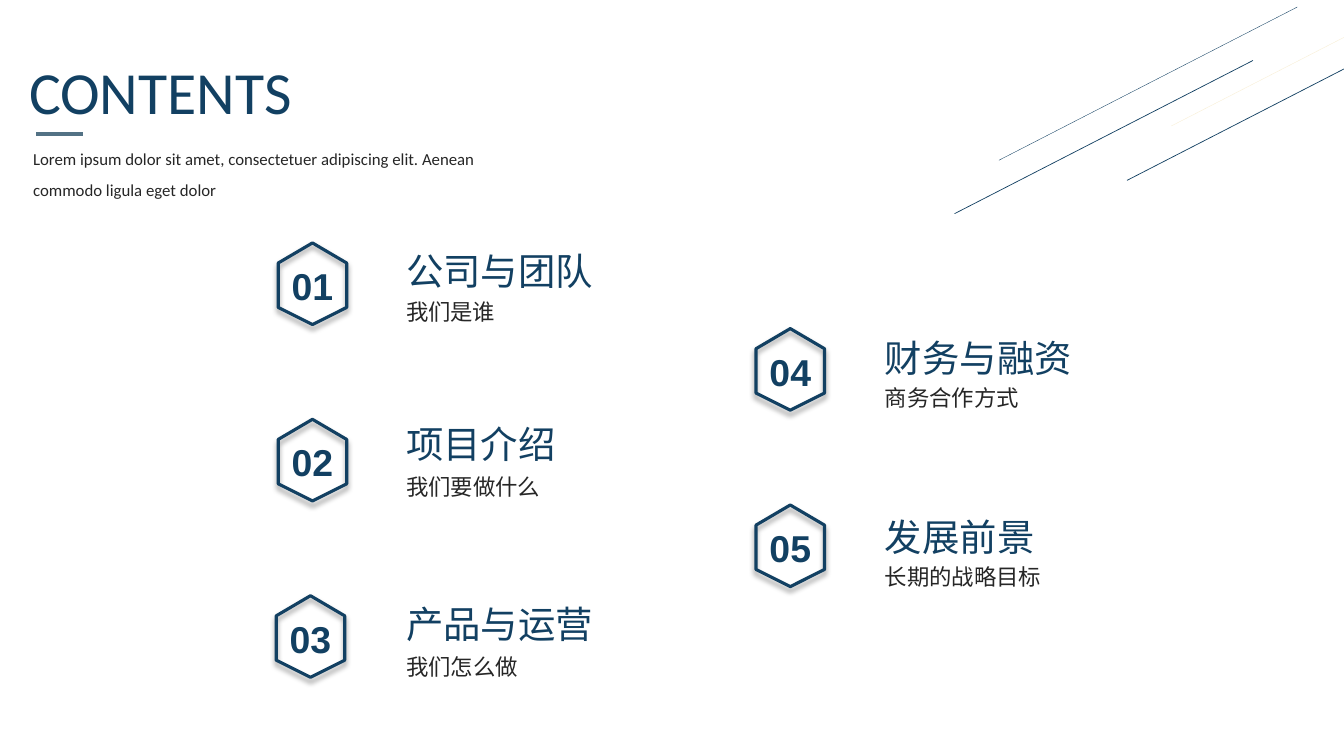
from dataclasses import dataclass
from typing import Any

from lxml.etree import SubElement
from pptx import Presentation
from pptx.dml.color import RGBColor
from pptx.enum.shapes import MSO_CONNECTOR as Connector
from pptx.enum.text import MSO_AUTO_SIZE as AutoSize, PP_ALIGN as Align
from pptx.oxml.ns import qn
from pptx.util import Emu, Inches, Pt

NAVY = RGBColor(0x12, 0x40, 0x62)
SLATE = RGBColor(0x53, 0x72, 0x85)
INK = RGBColor(0x26, 0x26, 0x26)
GOLD = RGBColor(0xDC, 0xAA, 0x1F)

# The grid: square cells, ten to the inch
CELL = Inches(0.1)
SLIDE_COLS, SLIDE_ROWS = 133.33, 75

CJK = "Noto Sans CJK SC"
HEADING = {"name": "Calibri", "size": Pt(42.7)}
INTRO = {"name": "Calibri", "size": Pt(12)}
NUMBER = {"name": "Arial", "size": Pt(26.7), "bold": True}
TITLE = {"name": CJK, "size": Pt(26.7)}
SUBTITLE = {"name": CJK, "size": Pt(16)}

# Hexagon corners, in cells from its top left
HEXAGON = [(3.4, 0), (6.8, 2), (6.8, 6.4), (3.4, 8.1), (0, 6.4), (0, 2)]
SHADOW = {"blurRad": Pt(4), "dist": Pt(3), "dir": 90 * 60000,
          "algn": "t", "rotWithShape": "0"}
STREAK_RUN, STREAK_RISE = 29.6, 15.2


@dataclass(frozen=True)
class Section:
    number: str
    title: str
    subtitle: str
    col: float
    row: float
    text_col: float
    title_row: float
    subtitle_row: float


@dataclass(frozen=True)
class Streak:
    col: float
    row: float
    color: RGBColor
    width: float
    opacity: int = 100


SECTIONS = [
    Section("01", "公司与团队", "我们是谁", 27.6, 24.1, 39.3, 24.1, 29.1),
    Section("02", "项目介绍", "我们要做什么", 27.6, 41.6, 39.3, 41.3, 46.4),
    Section("03", "产品与运营", "我们怎么做", 27.4, 59.1, 39.3, 59.1, 64.3),
    Section("04", "财务与融资", "商务合作方式", 75, 32.6, 86.8, 32.8, 37.6),
    Section("05", "发展前景", "长期的战略目标", 75, 50.1, 86.8, 50.5, 55.4),
]

STREAKS = [
    Streak(94.7, 21.2, NAVY, 0.5),
    Streak(99.1, 15.9, NAVY, 0.25),
    Streak(111.8, 17.9, NAVY, 0.5),
    Streak(116.2, 12.5, GOLD, 0.25, 20),
]


def cells(count: float) -> Emu:
    return Emu(round(count * CELL))


def add_text(slide: Any, text: str, box: tuple[float, float, float, float],
             style: dict[str, Any], color: RGBColor, wrap: bool = True,
             **paragraph_format: Any) -> None:
    frame = slide.shapes.add_textbox(*map(cells, box)).text_frame
    frame.word_wrap = wrap
    frame.auto_size = AutoSize.SHAPE_TO_FIT_TEXT
    paragraph = frame.paragraphs[0]
    for key, value in paragraph_format.items():
        setattr(paragraph, key, value)
    run = paragraph.add_run()
    run.text = text
    for key, value in style.items():
        setattr(run.font, key, value)
    run.font.color.rgb = color
    SubElement(run.font._element, qn("a:ea"), typeface=style["name"])


def add_line(slide: Any, start: tuple[float, float], end: tuple[float, float],
             color: RGBColor, width: float, opacity: int = 100) -> None:
    line = slide.shapes.add_connector(
        Connector.STRAIGHT, *map(cells, start + end))
    line.line.color.rgb = color
    line.line.width = Pt(width)
    properties = line._element.spPr
    if opacity < 100:
        tint = properties.find(".//" + qn("a:srgbClr"))
        SubElement(tint, qn("a:alpha"), val=str(opacity * 1000))
    SubElement(properties, qn("a:effectLst"))


def add_hexagon(slide: Any, col: float, row: float) -> None:
    corners = [(cells(col + x), cells(row + y)) for x, y in HEXAGON]
    builder = slide.shapes.build_freeform(*corners[0])
    builder.add_line_segments(corners[1:], close=True)
    hexagon = builder.convert_to_shape()
    hexagon.fill.background()
    hexagon.line.color.rgb = NAVY
    hexagon.line.width = Pt(2.25)
    hexagon.shadow.inherit = False
    effects = hexagon._element.spPr.find(qn("a:effectLst"))
    shadow = SubElement(effects, qn("a:outerShdw"),
                        {key: str(value) for key, value in SHADOW.items()})
    black = SubElement(shadow, qn("a:srgbClr"), val="000000")
    SubElement(black, qn("a:alpha"), val="40000")


def add_section(slide: Any, section: Section) -> None:
    add_hexagon(slide, section.col, section.row)
    add_text(slide, section.number,
             (section.col + 0.3, section.row + 1.5, 6.2, 5.5),
             NUMBER, NAVY, wrap=False, alignment=Align.CENTER)
    add_text(slide, section.title,
             (section.text_col, section.title_row, 26.1, 5.5), TITLE, NAVY)
    subtitle_width = 2 + 2.22 * len(section.subtitle)
    add_text(slide, section.subtitle,
             (section.text_col, section.subtitle_row, subtitle_width, 3.7),
             SUBTITLE, INK, wrap=False)


def main() -> None:
    deck = Presentation()
    deck.slide_width, deck.slide_height = cells(SLIDE_COLS), cells(SLIDE_ROWS)
    slide = deck.slides.add_slide(deck.slide_layouts[6])

    # Heading
    add_text(slide, "CONTENTS", (1.9, 4.9, 36.6, 8.2), HEADING, NAVY)
    add_line(slide, (3.6, 13.3), (8.2, 13.3), SLATE, 2.25)
    add_text(slide, "Lorem ipsum dolor sit amet, consectetuer adipiscing elit. "
             "Aenean commodo ligula eget dolor",
             (2.3, 13.3, 46.1, 6.8), INTRO, INK, line_spacing=1.5)

    # Slanted streaks in the corner
    for streak in STREAKS:
        end = (streak.col + STREAK_RUN, streak.row - STREAK_RISE)
        add_line(slide, (streak.col, streak.row), end,
                 streak.color, streak.width, streak.opacity)

    # Numbered sections
    for section in SECTIONS:
        add_section(slide, section)

    deck.save("out.pptx")


if __name__ == "__main__":
    main()
